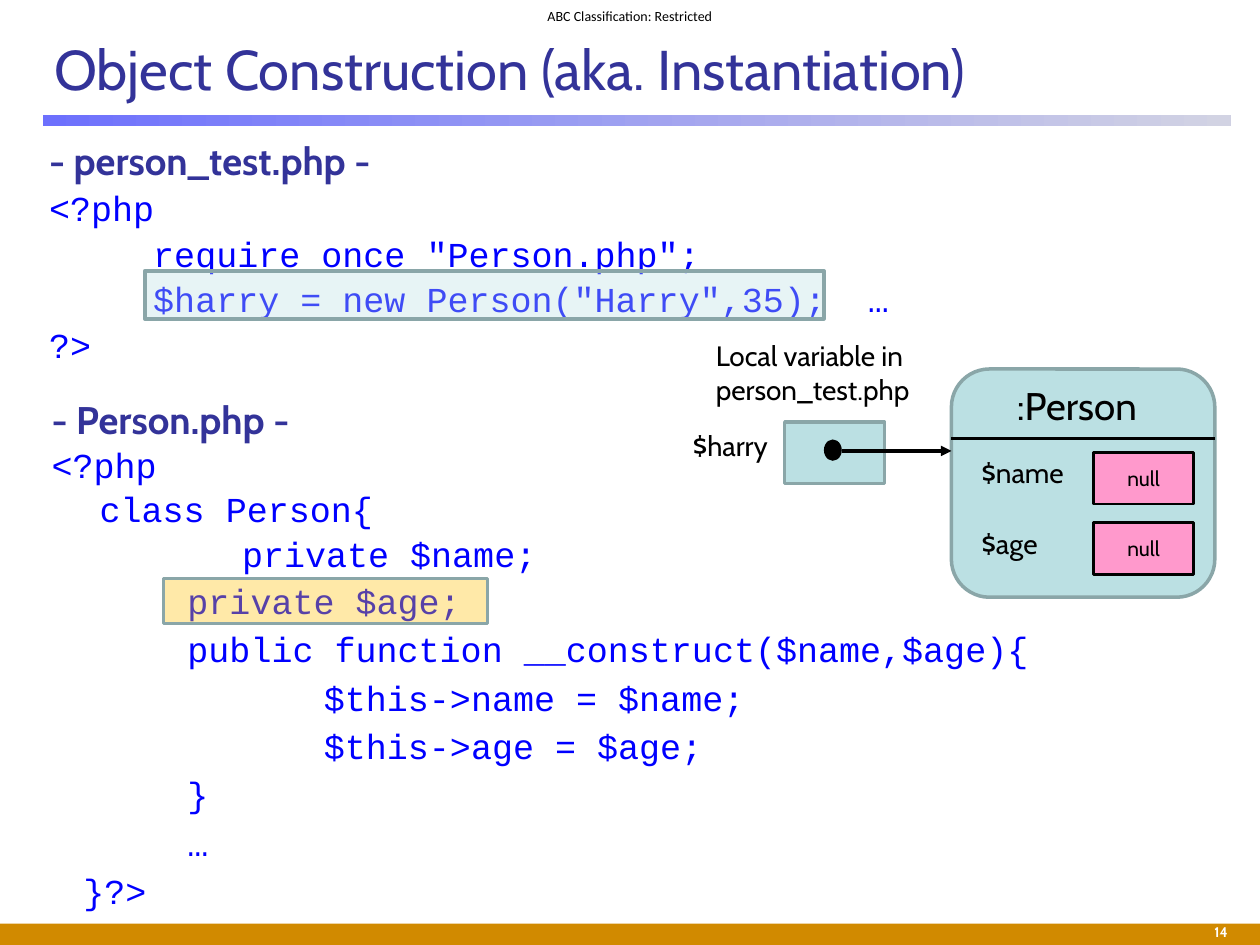
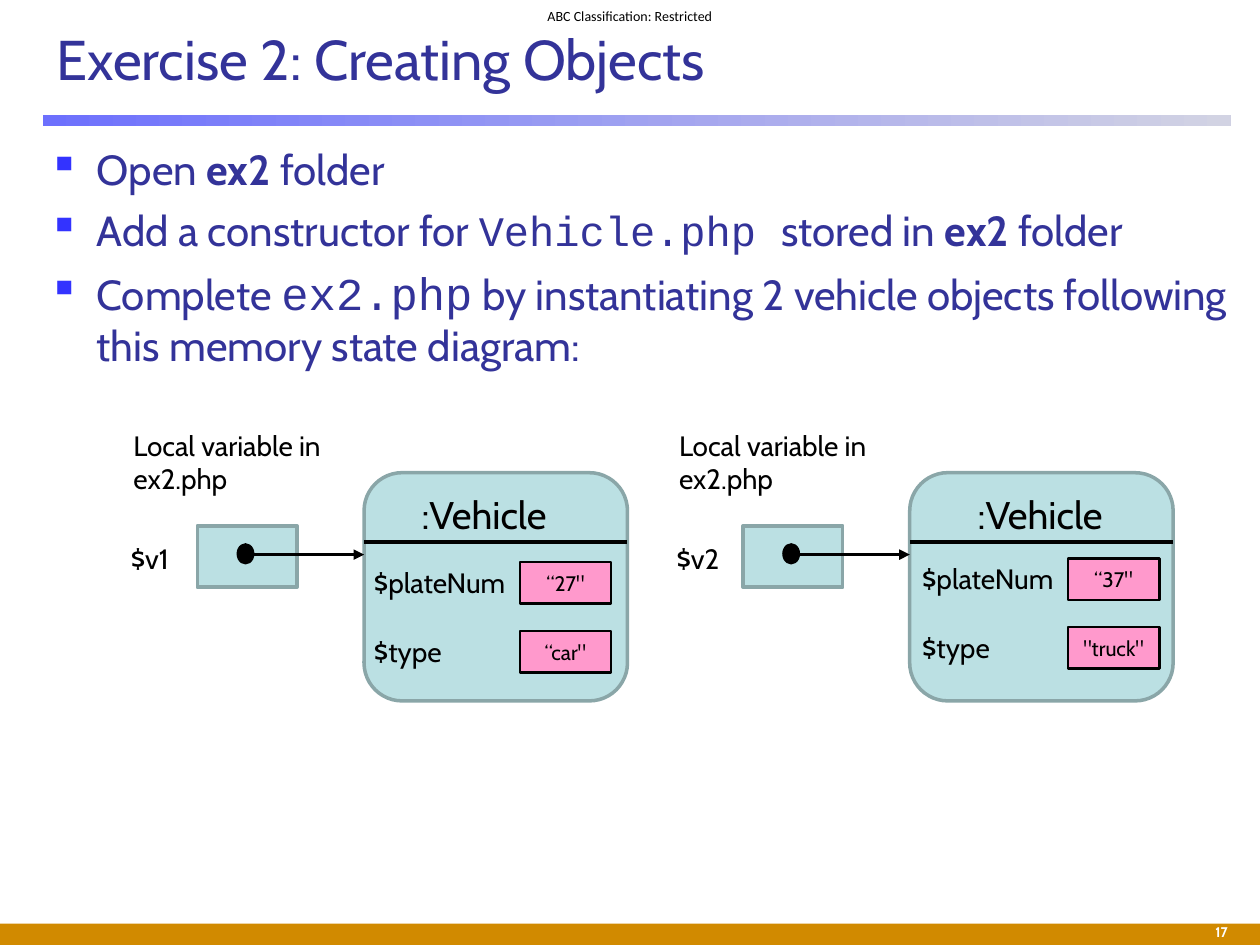
"""Build two slides on constructing PHP objects, with memory state diagrams."""
from lxml.etree import SubElement
from pptx import Presentation
from pptx.dml.color import RGBColor
from pptx.enum.shapes import MSO_CONNECTOR, MSO_SHAPE
from pptx.enum.text import MSO_ANCHOR, PP_ALIGN
from pptx.oxml.ns import qn
from pptx.util import Cm, Pt

BLACK = RGBColor(0x00, 0x00, 0x00)
WHITE = RGBColor(0xFF, 0xFF, 0xFF)
INDIGO = RGBColor(0x33, 0x33, 0x99)
CODE_BLUE = RGBColor(0x00, 0x00, 0xFF)
BULLET_BLUE = RGBColor(0x33, 0x33, 0xFF)
RULE_START = RGBColor(0x6D, 0x70, 0xFD)
RULE_END = RGBColor(0xD2, 0xD3, 0xE3)
OCHRE = RGBColor(0xD1, 0x8A, 0x00)
TEAL = RGBColor(0xBB, 0xE0, 0xE3)
TEAL_EDGE = RGBColor(0x8A, 0xA6, 0xA8)
PINK = RGBColor(0xFF, 0x99, 0xCC)
AMBER = RGBColor(0xFF, 0xC0, 0x00)
SANS = "Cabin"
MONO = "Courier New"


def write(frame, text, size=16, font=SANS, color=BLACK, bold=False, align=None,
          spacing=None, before=0, new_paragraph=True):
    paragraph = frame.paragraphs[-1]
    if new_paragraph and paragraph.runs:
        paragraph = frame.add_paragraph()
    if new_paragraph:
        paragraph.alignment = align
        paragraph.line_spacing = spacing
        paragraph.space_before = Pt(before)
    run = paragraph.add_run()
    run.text = text
    run.font.size = Pt(size)
    run.font.name = font
    run.font.bold = bold
    run.font.color.rgb = color
    return paragraph


def add_box(slide, kind, left, top, width, height, fill=None, edge=None,
            edge_width=2, anchor=MSO_ANCHOR.TOP):
    place = Cm(left), Cm(top), Cm(width), Cm(height)
    if kind is None:
        shape = slide.shapes.add_textbox(*place)
    else:
        shape = slide.shapes.add_shape(kind, *place)
        shape.shadow.inherit = False
        shape.fill.solid()
        shape.fill.fore_color.rgb = fill
        if edge is None:
            shape.line.fill.background()
        else:
            shape.line.color.rgb = edge
            shape.line.width = Pt(edge_width)
    shape.text_frame.word_wrap = True
    shape.text_frame.vertical_anchor = anchor
    return shape


presentation = Presentation()
presentation.slide_width = Cm(25.4)
presentation.slide_height = Cm(19.05)

pages = [
    ("Object Construction (aka. Instantiation)", 0.84, 0.43, 1.9, "14"),
    ("Exercise 2: Creating Objects", 0.89, 0.28, 1.8, "17"),
]
for title, left, top, height, number in pages:
    slide = presentation.slides.add_slide(presentation.slide_layouts[6])
    add_box(slide, MSO_SHAPE.RECTANGLE, 0, 18.62, 25.4, 0.43, OCHRE)
    rule = add_box(slide, MSO_SHAPE.RECTANGLE, 0.86, 2.31, 23.95, 0.23, RULE_START)
    rule.fill.gradient()
    rule.fill.gradient_angle = 0
    for stop, color in zip(rule.fill.gradient_stops, (RULE_START, RULE_END)):
        stop.color.rgb = color
    label = add_box(slide, None, 10, 0, 5.4, 0.64, anchor=MSO_ANCHOR.MIDDLE)
    write(label.text_frame, "ABC Classification: Restricted", 8, "Calibri",
          align=PP_ALIGN.CENTER)
    heading = add_box(slide, None, left, top, 23.93, height, anchor=MSO_ANCHOR.MIDDLE)
    write(heading.text_frame, title, 32, color=INDIGO)
    page_number = add_box(slide, None, 21.39, 18.62, 3.61, 0.43)
    page_number.text_frame.margin_top = page_number.text_frame.margin_bottom = 0
    write(page_number.text_frame, number, 8, color=WHITE, bold=True, align=PP_ALIGN.RIGHT)

construction, exercise = presentation.slides

diagrams = [
    dict(slide=construction, left=19.18, top=7.44, variable="$harry", variable_at=(-5.46, 1.07),
         caption="Local variable in person_test.php", caption_at=(-5, -0.74),
         name=":Person", name_at=(1.07, 0.13), fields=[("$name", "null"), ("$age", "null")],
         field_left=0.36, value_at=(2.87, 1.68), value_size=(2.01, 1.04), pitch=1.42),
    dict(slide=exercise, left=7.34, top=9.53, variable="$v1", variable_at=(-4.95, 1.27),
         caption="Local variable in ex2.php", caption_at=(-4.9, -1.02),
         name=":Vehicle", name_at=(0.91, 0.25), fields=[("$plateNum", "“27\""), ("$type", "“car\"")],
         field_left=-0.05, value_at=(3.14, 1.8), value_size=(1.84, 0.84), pitch=1.39),
    dict(slide=exercise, left=18.34, top=9.53, variable="$v2", variable_at=(-4.95, 1.27),
         caption="Local variable in ex2.php", caption_at=(-4.9, -1.02),
         name=":Vehicle", name_at=(1.12, 0.25), fields=[("$plateNum", "“37\""), ("$type", "\"truck\"")],
         field_left=0, value_at=(3.19, 1.73), value_size=(1.84, 0.84), pitch=1.38),
]
for diagram in diagrams:
    slide, left, top = diagram["slide"], diagram["left"], diagram["top"]
    add_box(slide, MSO_SHAPE.RECTANGLE, left - 3.36, top + 1.07, 2.01, 1.24, TEAL, TEAL_EDGE)
    add_box(slide, MSO_SHAPE.OVAL, left - 2.57, top + 1.42, 0.36, 0.43, BLACK)
    add_box(slide, MSO_SHAPE.ROUNDED_RECTANGLE, left, top, 5.31, 4.6, TEAL, TEAL_EDGE)
    labels = [("caption", 4.9, 1.63, 16), ("variable", 2.62, 0.94, 16), ("name", 3.76, 1.19, 22)]
    for key, width, height, size in labels:
        across, down = diagram[key + "_at"]
        label = add_box(slide, None, left + across, top + down, width, height)
        write(label.text_frame, diagram[key], size)
    for start, end, down in [(-2.21, 0, 1.65), (0, 5.31, 1.4)]:
        line = slide.shapes.add_connector(MSO_CONNECTOR.STRAIGHT, Cm(left + start),
                                          Cm(top + down), Cm(left + end), Cm(top + down))
        line.line.color.rgb = BLACK
        line.line.width = Pt(2)
        if end == 0:
            SubElement(line.line._get_or_add_ln(), qn("a:tailEnd"), type="triangle")
        SubElement(line._element.spPr, qn("a:effectLst"))
    value_left, value_top = diagram["value_at"]
    for row, (field, value) in enumerate(diagram["fields"]):
        row_top = top + value_top + row * diagram["pitch"]
        label = add_box(slide, None, left + diagram["field_left"], row_top - 0.06, 3.2, 0.94)
        write(label.text_frame, field)
        cell = add_box(slide, MSO_SHAPE.RECTANGLE, left + value_left, row_top,
                       *diagram["value_size"], PINK, BLACK, 1.5, MSO_ANCHOR.MIDDLE)
        cell.text_frame.margin_left = cell.text_frame.margin_right = 0
        write(cell.text_frame, value, 12, align=PP_ALIGN.CENTER)

listings = [
    ((0.1, 2.74, 22.33, 4.75), 4.4, "- person_test.php -", [
        (0.64, 0.9, "<?php"),
        (2.74, 0.9, "require_once \"Person.php\";"),
        (2.74, 0.9, "$harry = new Person(\"Harry\",35);  …"),
        (0.64, 0.9, "?>"),
    ]),
    ((0.79, 8.03, 22.96, 9.32), 6, "- Person.php -", [
        (0, 0.8, "<?php"),
        (0.97, 0.8, "class Person{"),
        (3.84, 0.8, "private $name;"),
        (2.74, 0.9, "private $age;"),
        (2.74, 0.9, "public function __construct($name,$age){"),
        (5.49, 0.9, "$this->name = $name;"),
        (5.49, 0.9, "$this->age = $age;"),
        (2.74, 0.9, "}"),
        (2.74, 0.9, "…"),
        (0.64, 0.9, "}?>"),
    ]),
]
for place, before, file_name, code_lines in listings:
    listing = add_box(construction, None, *place)
    first_indent, first_spacing, _ = code_lines[0]
    paragraph = write(listing.text_frame, file_name, 22, color=INDIGO, bold=True,
                      spacing=first_spacing, before=before)
    paragraph._p.get_or_add_pPr().set("marL", str(Cm(first_indent)))
    for indent, spacing, code in code_lines:
        paragraph = write(listing.text_frame, code, 20, MONO, CODE_BLUE,
                          spacing=spacing, before=before)
        paragraph._p.get_or_add_pPr().set("marL", str(Cm(indent)))

highlights = [(3.3, 11.66, 6.53, 0.91, AMBER), (2.92, 5.46, 13.69, 0.97, TEAL)]
for left, top, width, height, color in highlights:
    highlight = add_box(construction, MSO_SHAPE.RECTANGLE, left, top, width, height,
                        color, TEAL_EDGE)
    fill_color = highlight._element.spPr.find(qn("a:solidFill")).find(qn("a:srgbClr"))
    SubElement(fill_color, qn("a:alpha"), val="34000")

tasks = [
    [("Open ", {}), ("ex2", {"bold": True}), (" folder", {})],
    [("Add a constructor for ", {}), ("Vehicle.php ", {"font": MONO}), ("stored in ", {}),
     ("ex2", {"bold": True}), (" folder", {})],
    [("Complete ", {}), ("ex2.php", {"font": MONO, "size": 26}),
     (" by instantiating 2 vehicle objects following this memory state diagram:", {})],
]
body = add_box(exercise, None, 0.51, 2.77, 24.71, 5.5)
for task in tasks:
    for position, (text, style) in enumerate(task):
        paragraph = write(body.text_frame, text, **{"size": 24, "color": INDIGO, **style},
                          before=6, new_paragraph=position == 0)
    properties = paragraph._p.get_or_add_pPr()
    properties.set("marL", str(Cm(1.19)))
    properties.set("indent", str(-Cm(0.97)))
    bullet_color = SubElement(properties, qn("a:buClr"))
    SubElement(bullet_color, qn("a:srgbClr"), val=str(BULLET_BLUE))
    SubElement(properties, qn("a:buChar"), char="▪")

presentation.save("out.pptx")
